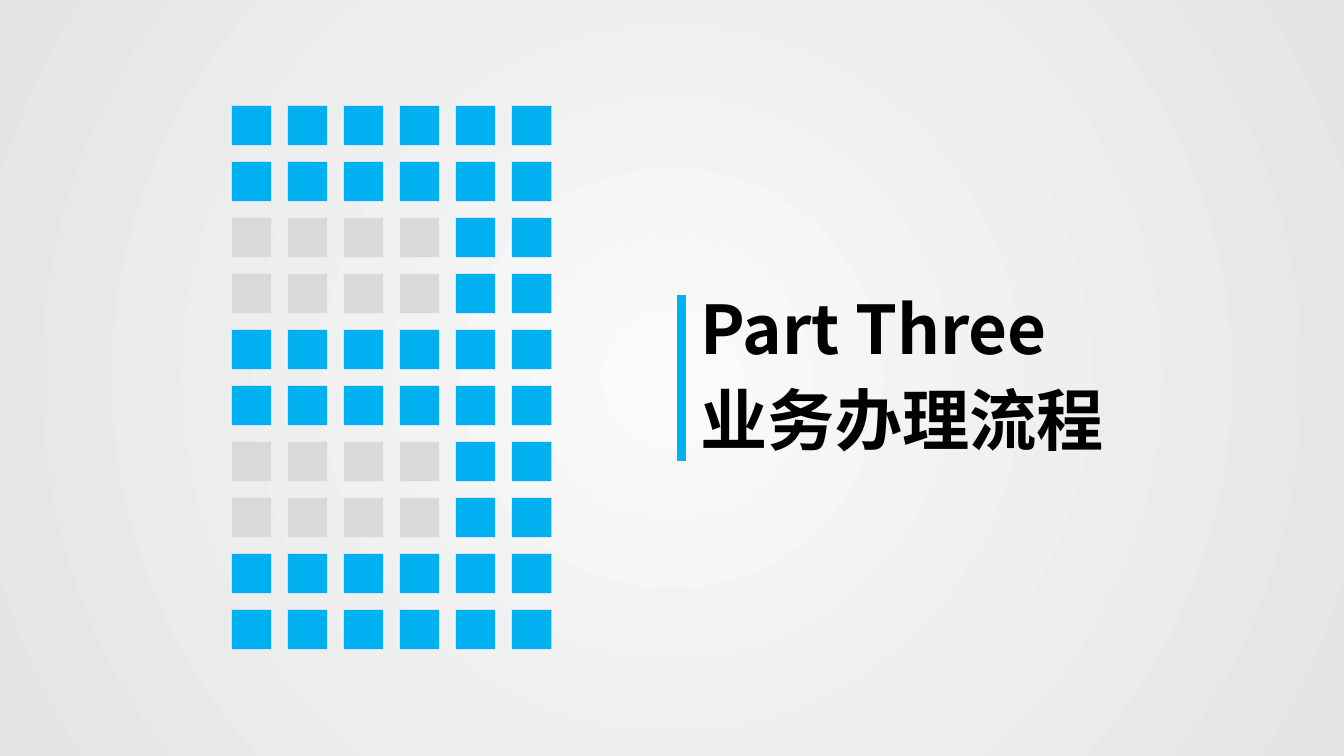
import pptx
import pptx.util
import pptx.dml.color
import pptx.enum.shapes
import pptx.enum.text
import pptx.oxml
import pptx.oxml.ns

Inches = pptx.util.Inches
qn = pptx.oxml.ns.qn
DRAWING = pptx.oxml.ns.nsdecls("a")

COLORS = {
    "blue": "00B0F0",
    "grey": "D9D9D9",
    "text": "000000",
    "glow": "FAFAFA",
    "edge": "E4E4E4",
}

# The figure 3 drawn in tiles: "#" is lit, "." is unlit
DIGIT_ROWS = ["######", "######", "....##", "....##", "######"] * 2
DIGIT_ROWS = ["######", "######", "....##", "....##"] * 2 + ["######"] * 2
TILE_SIZE = 0.39
TILE_PITCH = 5 / 9


class SectionSlide:
    font_name = "Noto Sans CJK SC"

    def __init__(self, deck):
        self.page = deck.slides.add_slide(deck.slide_layouts[0])

    def color(self, name):
        return pptx.dml.color.RGBColor.from_string(COLORS[name])

    def background(self, inner, outer):
        fill = self.page.background.fill
        fill.gradient()
        for stop, name, position in zip(fill.gradient_stops, (inner, outer), (0, 1)):
            stop.color.rgb = self.color(name)
            stop.position = position
        # Turn the linear gradient into a circular one
        gradient = self.page.element.find(".//" + qn("a:gradFill"))
        circle = pptx.oxml.parse_xml(
            f'<a:path {DRAWING} path="circle">'
            '<a:fillToRect l="50000" t="50000" r="50000" b="50000"/></a:path>'
        )
        gradient.replace(gradient.find(qn("a:lin")), circle)

    def tile(self, group, left, top, color):
        box = group.shapes.add_shape(
            pptx.enum.shapes.MSO_SHAPE.RECTANGLE,
            Inches(left), Inches(top), Inches(TILE_SIZE), Inches(TILE_SIZE),
        )
        box.shadow.inherit = False
        box.fill.solid()
        box.fill.fore_color.rgb = self.color(color)
        box.line.fill.background()

    def digit(self, left, top):
        group = self.page.shapes.add_group_shape()
        for row, cells in enumerate(DIGIT_ROWS):
            for column, cell in enumerate(cells):
                self.tile(group, left + column * TILE_PITCH, top + row * TILE_PITCH,
                          "blue" if cell == "#" else "grey")

    def heading(self, box, text, left, top, width, height):
        box.left, box.top = Inches(left), Inches(top)
        box.width, box.height = Inches(width), Inches(height)
        frame = box.text_frame
        frame.text = text
        frame.word_wrap = True
        frame.auto_size = pptx.enum.text.MSO_AUTO_SIZE.NONE
        frame.vertical_anchor = pptx.enum.text.MSO_ANCHOR.MIDDLE
        para = frame.paragraphs[0]
        para.alignment = pptx.enum.text.PP_ALIGN.LEFT
        para.line_spacing = 0.9
        para.space_before = pptx.util.Pt(10)
        span = para.runs[0]
        span.font.name = self.font_name
        span.font.size = pptx.util.Pt(48)
        span.font.bold = True
        span.font.color.rgb = self.color("text")
        east_asian = pptx.oxml.parse_xml(f'<a:ea {DRAWING} typeface="{self.font_name}"/>')
        span.font._element.find(qn("a:latin")).addnext(east_asian)

    def rule(self, left, top, bottom):
        line = self.page.shapes.add_connector(
            pptx.enum.shapes.MSO_CONNECTOR.STRAIGHT,
            Inches(left), Inches(top), Inches(left), Inches(bottom),
        )
        line.line.color.rgb = self.color("blue")
        line.line.width = pptx.util.Pt(6)
        no_effects = pptx.oxml.parse_xml(f"<a:effectLst {DRAWING}/>")
        line.element.find(qn("p:spPr")).append(no_effects)


def main():
    deck = pptx.Presentation()
    deck.slide_width, deck.slide_height = Inches(13.33), Inches(7.5)

    section = SectionSlide(deck)
    section.background("glow", "edge")

    # Section number
    section.digit(2.3, 1.05)

    # Section name with its accent rule
    title, subtitle = section.page.placeholders
    section.heading(title, "Part Three", 6.85, 2.85, 4.3, 0.9)
    section.heading(subtitle, "业务办理流程", 6.85, 3.75, 4.3, 0.9)
    section.rule(6.76, 2.93, 4.57)

    deck.save("out.pptx")


if __name__ == "__main__":
    main()
